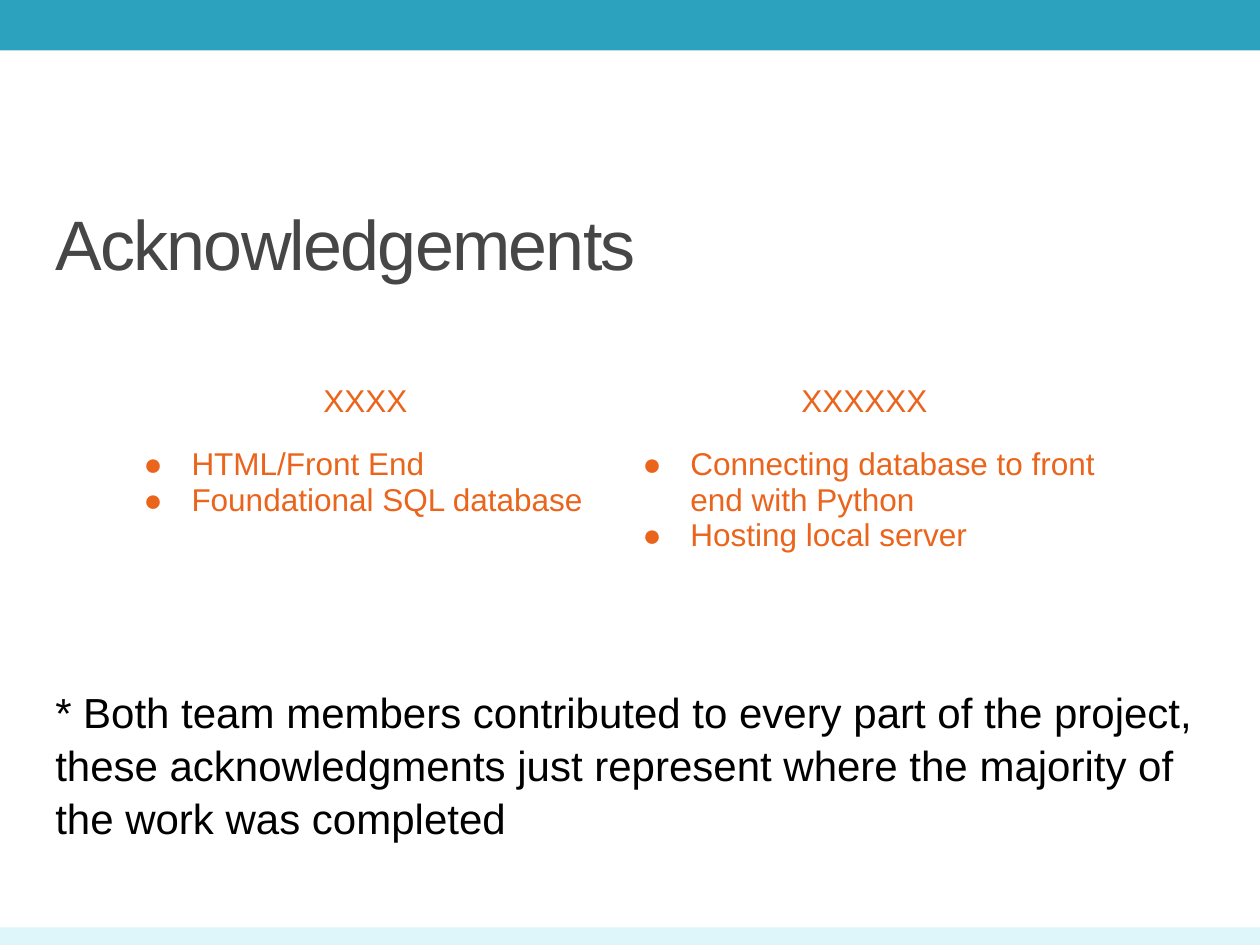
from lxml.etree import SubElement
from pptx import Presentation
from pptx.dml.color import RGBColor
from pptx.enum.shapes import MSO_SHAPE
from pptx.enum.text import MSO_ANCHOR, MSO_AUTO_SIZE, PP_ALIGN
from pptx.oxml.ns import qn
from pptx.util import Inches, Pt

TEAL = RGBColor(0x2D, 0xA2, 0xBF)
PALE_TEAL = RGBColor(0xDE, 0xF5, 0xFA)
GRAY = RGBColor(0x46, 0x46, 0x46)
ORANGE = RGBColor(0xEB, 0x64, 0x1B)
BLACK = RGBColor(0, 0, 0)

TITLE = "Acknowledgements"
MEMBERS = [
    ("XXXX", ["HTML/Front End", "Foundational SQL database"]),
    ("XXXXXX", ["Connecting database to front end with Python",
                "Hosting local server"]),
]
NOTE = ("* Both team members contributed to every part of the project, "
        "these acknowledgments just represent where the majority of "
        "the work was completed")
BARS = [(0, 0.4, TEAL), (7.36, 0.14, PALE_TEAL)]  # top, height, colour

SLIDE_WIDTH, SLIDE_HEIGHT = 10, 7.5
MARGIN = 0.34
TEXT_WIDTH = SLIDE_WIDTH - 2 * MARGIN
INSET = Inches(0.1)
TABLE_LEFT, TABLE_TOP = 0.92, 2.95
COLUMN_WIDTH, ROW_HEIGHT = 3.96, 0.42


def add_bullet(paragraph, color):
    properties = paragraph._p.get_or_add_pPr()
    properties.set("marL", str(Inches(0.5)))
    properties.set("indent", str(Inches(-0.38)))
    bullet_color = SubElement(properties, qn("a:buClr"))
    SubElement(bullet_color, qn("a:srgbClr"), val=str(color))
    SubElement(properties, qn("a:buFont"), typeface="Arial")
    SubElement(properties, qn("a:buChar"), char="●")


def write(frame, lines, size, color, align=PP_ALIGN.LEFT, bullets=False,
          line_spacing=None, tracking=None):
    frame.word_wrap = True
    for index, line in enumerate(lines):
        paragraph = frame.paragraphs[0] if index == 0 else frame.add_paragraph()
        paragraph.alignment = align
        if line_spacing:
            paragraph.line_spacing = line_spacing
        if bullets:
            add_bullet(paragraph, color)
        run = paragraph.add_run()
        run.text = line
        run.font.name = "Arial"
        run.font.size = Pt(size)
        run.font.color.rgb = color
        if tracking:
            run._r.get_or_add_rPr().set("spc", str(int(tracking * 100)))


def set_insets(box):
    box.margin_left = box.margin_right = INSET
    box.margin_top = box.margin_bottom = INSET
    box.vertical_anchor = MSO_ANCHOR.TOP


def add_bars(slide):
    for top, height, color in BARS:
        bar = slide.shapes.add_shape(MSO_SHAPE.RECTANGLE, 0, Inches(top),
                                     Inches(SLIDE_WIDTH), Inches(height))
        bar.shadow.inherit = False
        bar.fill.solid()
        bar.fill.fore_color.rgb = color
        bar.line.fill.background()


def add_title(slide):
    title = slide.shapes.title
    title.left, title.top = Inches(MARGIN), Inches(1.42)
    title.width, title.height = Inches(TEXT_WIDTH), Inches(0.63)
    frame = title.text_frame
    frame.auto_size = MSO_AUTO_SIZE.NONE
    set_insets(frame)
    frame.margin_top = Inches(0.17)
    write(frame, [TITLE], 40, GRAY, tracking=-1)


def add_members(slide):
    columns = len(MEMBERS)
    table = slide.shapes.add_table(
        2, columns, Inches(TABLE_LEFT), Inches(TABLE_TOP),
        Inches(COLUMN_WIDTH * columns), Inches(ROW_HEIGHT * 2)).table
    table.first_row = table.horz_banding = False
    # The "No Style, No Grid" table style keeps the cells free of borders.
    style = table._tbl.tblPr.find(qn("a:tableStyleId"))
    style.text = "{2D5ABB26-0587-4C30-8999-92F81FD0307C}"
    for column, (name, tasks) in enumerate(MEMBERS):
        heading, body = table.cell(0, column), table.cell(1, column)
        for cell in (heading, body):
            set_insets(cell)
            cell.fill.background()
        write(heading.text_frame, [name], 18, ORANGE, align=PP_ALIGN.CENTER)
        write(body.text_frame, tasks, 18, ORANGE, bullets=True)


def add_note(slide):
    frame = slide.shapes.add_textbox(Inches(MARGIN), Inches(5.33),
                                     Inches(TEXT_WIDTH), Inches(1.4)).text_frame
    set_insets(frame)
    write(frame, [NOTE], 24, BLACK, line_spacing=1.05)


def main():
    deck = Presentation()
    deck.slide_width = Inches(SLIDE_WIDTH)
    deck.slide_height = Inches(SLIDE_HEIGHT)
    slide = deck.slides.add_slide(deck.slide_layouts[5])
    add_bars(slide)
    add_title(slide)
    add_note(slide)
    add_members(slide)
    deck.save("out.pptx")


if __name__ == "__main__":
    main()
